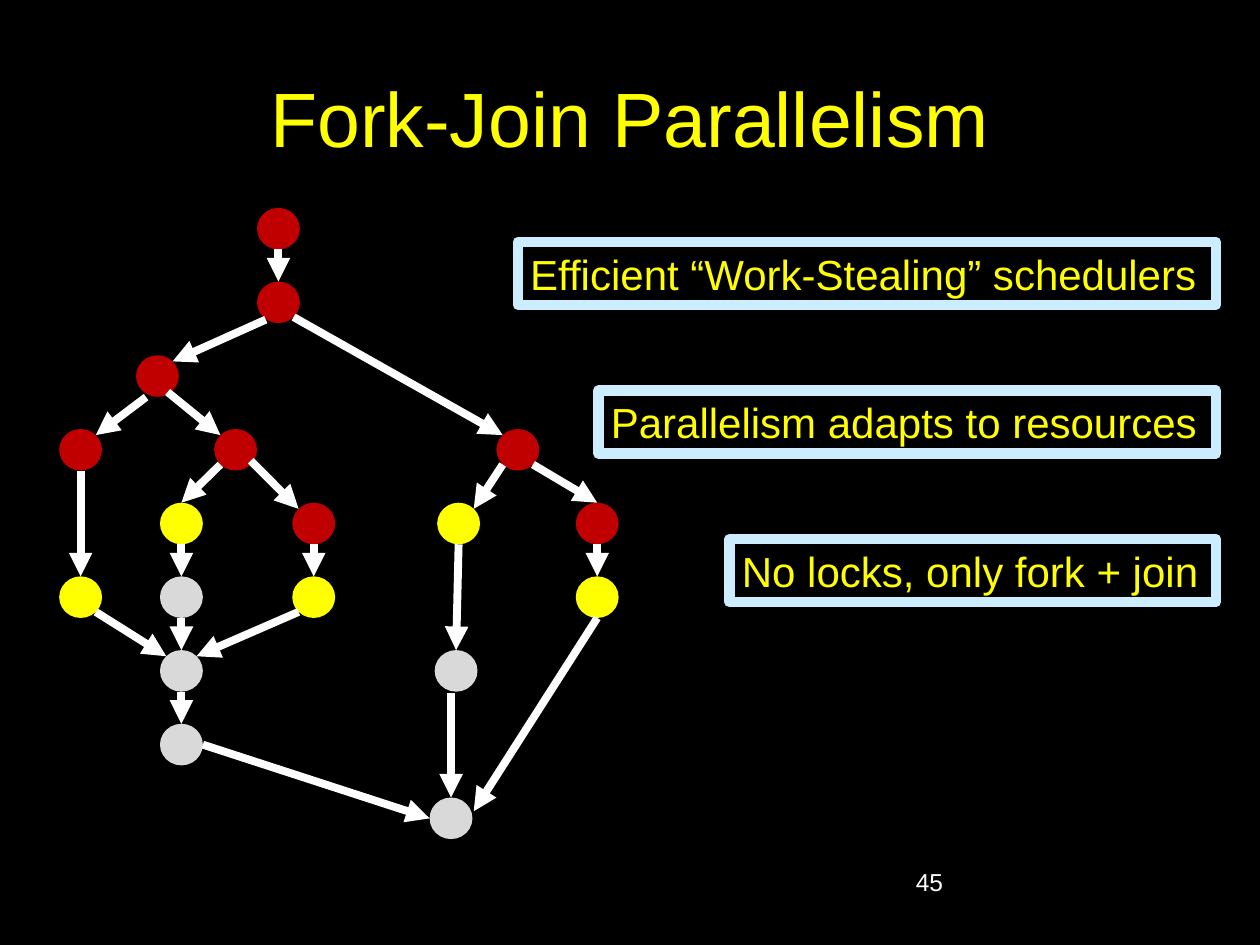
"""Build the Fork-Join Parallelism slide with its task graph and three callouts."""

from dataclasses import dataclass

from lxml import etree
from pptx import Presentation
from pptx.dml.color import RGBColor
from pptx.enum.shapes import MSO_CONNECTOR, MSO_SHAPE
from pptx.enum.text import MSO_ANCHOR, MSO_AUTO_SIZE, PP_ALIGN
from pptx.oxml.ns import qn
from pptx.slide import Slide
from pptx.text.text import TextFrame
from pptx.util import Inches, Pt

STRAIGHT = MSO_CONNECTOR.STRAIGHT
OVAL = MSO_SHAPE.OVAL
RECTANGLE = MSO_SHAPE.RECTANGLE
MIDDLE = MSO_ANCHOR.MIDDLE
TOP = MSO_ANCHOR.TOP
FIT_SHAPE = MSO_AUTO_SIZE.SHAPE_TO_FIT_TEXT
CENTER = PP_ALIGN.CENTER
LEFT = PP_ALIGN.LEFT

FONT = "Arial"
COLORS = {
    "background": "000000",
    "text": "FFFF00",
    "number": "FFFFFF",
    "arrow": "FFFFFF",
    "border": "CCECFF",
    "done": "C00000",
    "ready": "FFFF00",
    "waiting": "D9D9D9",
}

NODE_WIDTH, NODE_HEIGHT = 0.34, 0.33
FIRST_ROW, ROW_PITCH = 1.65, 0.585
DIAGONAL = 0.5 ** 0.5
SIDES = {
    "top": (0, -1),
    "bottom": (0, 1),
    "left": (-1, 0),
    "right": (1, 0),
    "top left": (-DIAGONAL, -DIAGONAL),
    "top right": (DIAGONAL, -DIAGONAL),
    "bottom left": (-DIAGONAL, DIAGONAL),
    "bottom right": (DIAGONAL, DIAGONAL),
}
CALLOUT_RIGHT, CALLOUT_TOP, CALLOUT_PITCH, CALLOUT_HEIGHT = 9.65, 1.92, 1.18, 0.5


@dataclass(frozen=True)
class Node:
    left: float
    row: int
    state: str

    def point(self, side: str, shift: tuple[float, float]) -> tuple[float, float]:
        across, down = SIDES[side]
        center_x = self.left + NODE_WIDTH / 2
        center_y = FIRST_ROW + self.row * ROW_PITCH + NODE_HEIGHT / 2
        return (
            center_x + across * NODE_WIDTH / 2 + shift[0],
            center_y + down * NODE_HEIGHT / 2 + shift[1],
        )


@dataclass(frozen=True)
class Arrow:
    start: str
    start_side: str
    end: str
    end_side: str
    start_shift: tuple[float, float] = (0, 0)
    end_shift: tuple[float, float] = (0, 0)


@dataclass(frozen=True)
class Callout:
    text: str
    width: float


NODES = {
    "root": Node(2.04, 0, "done"),
    "fork": Node(2.04, 1, "done"),
    "left fork": Node(1.08, 2, "done"),
    "right fork": Node(3.94, 3, "done"),
    "inner fork": Node(1.7, 3, "done"),
    "outer task": Node(0.47, 3, "done"),
    "inner left": Node(1.27, 4, "ready"),
    "inner right": Node(2.32, 4, "done"),
    "right left": Node(3.47, 4, "ready"),
    "right right": Node(4.57, 4, "done"),
    "outer end": Node(0.47, 5, "ready"),
    "inner left end": Node(1.27, 5, "waiting"),
    "inner right end": Node(2.32, 5, "ready"),
    "right right end": Node(4.57, 5, "ready"),
    "left join": Node(1.27, 6, "waiting"),
    "right left end": Node(3.45, 6, "waiting"),
    "left end": Node(1.27, 7, "waiting"),
    "join": Node(3.41, 8, "waiting"),
}

ARROWS = [
    Arrow("root", "bottom", "fork", "top"),
    Arrow("fork", "bottom left", "left fork", "top right", (0.02, 0.02)),
    Arrow("fork", "bottom right", "right fork", "top left"),
    Arrow("right fork", "bottom right", "right right", "top"),
    Arrow("right fork", "bottom left", "right left", "top right"),
    Arrow("right right", "bottom", "right right end", "top"),
    Arrow("right left", "bottom", "right left end", "top"),
    Arrow("right left end", "bottom", "join", "top", (-0.04, 0.01)),
    Arrow("left end", "right", "join", "left"),
    Arrow("right right end", "bottom", "join", "top right", (0, 0), (0.06, 0.06)),
    Arrow("left join", "bottom", "left end", "top"),
    Arrow("left fork", "bottom left", "outer task", "top right", (0.03, 0.05)),
    Arrow("left fork", "bottom right", "inner fork", "top left", (-0.04, 0.01)),
    Arrow("inner fork", "bottom right", "inner right", "top left", (0, -0.03)),
    Arrow("inner fork", "bottom left", "inner left", "top"),
    Arrow("outer task", "bottom", "outer end", "top"),
    Arrow("inner left", "bottom", "inner left end", "top"),
    Arrow("inner right", "bottom", "inner right end", "top"),
    Arrow("inner right end", "bottom left", "left join", "top right"),
    Arrow("outer end", "bottom right", "left join", "top left"),
    Arrow("inner left end", "bottom", "left join", "top"),
]

CALLOUTS = [
    Callout("Efficient “Work-Stealing” schedulers", 5.54),
    Callout("Parallelism adapts to resources", 4.9),
    Callout("No locks, only fork + join", 3.86),
]


def color(name: str) -> RGBColor:
    return RGBColor.from_string(COLORS[name])


def add_text(frame: TextFrame, text: str, size: int, color_name: str, alignment: PP_ALIGN) -> None:
    paragraph = frame.paragraphs[0]
    paragraph.alignment = alignment
    run = paragraph.add_run()
    run.text = text
    run.font.name = FONT
    run.font.size = Pt(size)
    run.font.color.rgb = color(color_name)


def add_title(slide: Slide, text: str) -> None:
    title = slide.shapes.title
    title.left, title.top = Inches(0.5), Inches(0.3)
    title.width, title.height = Inches(9), Inches(1.25)
    title.text_frame.vertical_anchor = MIDDLE
    add_text(title.text_frame, text, 44, "text", CENTER)


def add_slide_number(slide: Slide, text: str) -> None:
    box = slide.shapes.add_textbox(Inches(7.17), Inches(6.83), Inches(2.08), Inches(0.5))
    box.text_frame.word_wrap = True
    add_text(box.text_frame, text, 14, "number", LEFT)


def add_node(slide: Slide, node: Node) -> None:
    shape = slide.shapes.add_shape(
        OVAL, Inches(node.left), Inches(FIRST_ROW + node.row * ROW_PITCH),
        Inches(NODE_WIDTH), Inches(NODE_HEIGHT),
    )
    shape.shadow.inherit = False
    shape.fill.solid()
    shape.fill.fore_color.rgb = color(node.state)
    shape.line.fill.background()


def add_arrow(slide: Slide, arrow: Arrow) -> None:
    start = NODES[arrow.start].point(arrow.start_side, arrow.start_shift)
    end = NODES[arrow.end].point(arrow.end_side, arrow.end_shift)
    connector = slide.shapes.add_connector(STRAIGHT, *(Inches(value) for value in start + end))
    connector.line.width = Pt(4.5)
    connector.line.color.rgb = color("arrow")
    etree.SubElement(connector.line._get_or_add_ln(), qn("a:tailEnd"), type="triangle")
    etree.SubElement(connector._element.spPr, qn("a:effectLst"))


def add_callout(slide: Slide, callout: Callout, top: float) -> None:
    shape = slide.shapes.add_shape(
        RECTANGLE, Inches(CALLOUT_RIGHT - callout.width), Inches(top),
        Inches(callout.width), Inches(CALLOUT_HEIGHT),
    )
    shape.shadow.inherit = False
    shape.fill.solid()
    shape.fill.fore_color.rgb = color("background")
    shape.line.width = Pt(6)
    shape.line.color.rgb = color("border")
    frame = shape.text_frame
    frame.word_wrap = False
    frame.auto_size = FIT_SHAPE
    frame.vertical_anchor = TOP
    add_text(frame, callout.text, 24, "text", LEFT)


def main() -> None:
    presentation = Presentation()
    presentation.slide_width, presentation.slide_height = Inches(10), Inches(7.5)
    slide = presentation.slides.add_slide(presentation.slide_layouts.get_by_name("Title Only"))
    slide.background.fill.solid()
    slide.background.fill.fore_color.rgb = color("background")
    add_title(slide, "Fork-Join Parallelism")
    add_slide_number(slide, "45")
    for node in NODES.values():
        add_node(slide, node)
    for arrow in ARROWS:
        add_arrow(slide, arrow)
    for index, callout in enumerate(CALLOUTS):
        add_callout(slide, callout, CALLOUT_TOP + index * CALLOUT_PITCH)
    presentation.save("out.pptx")


if __name__ == "__main__":
    main()
